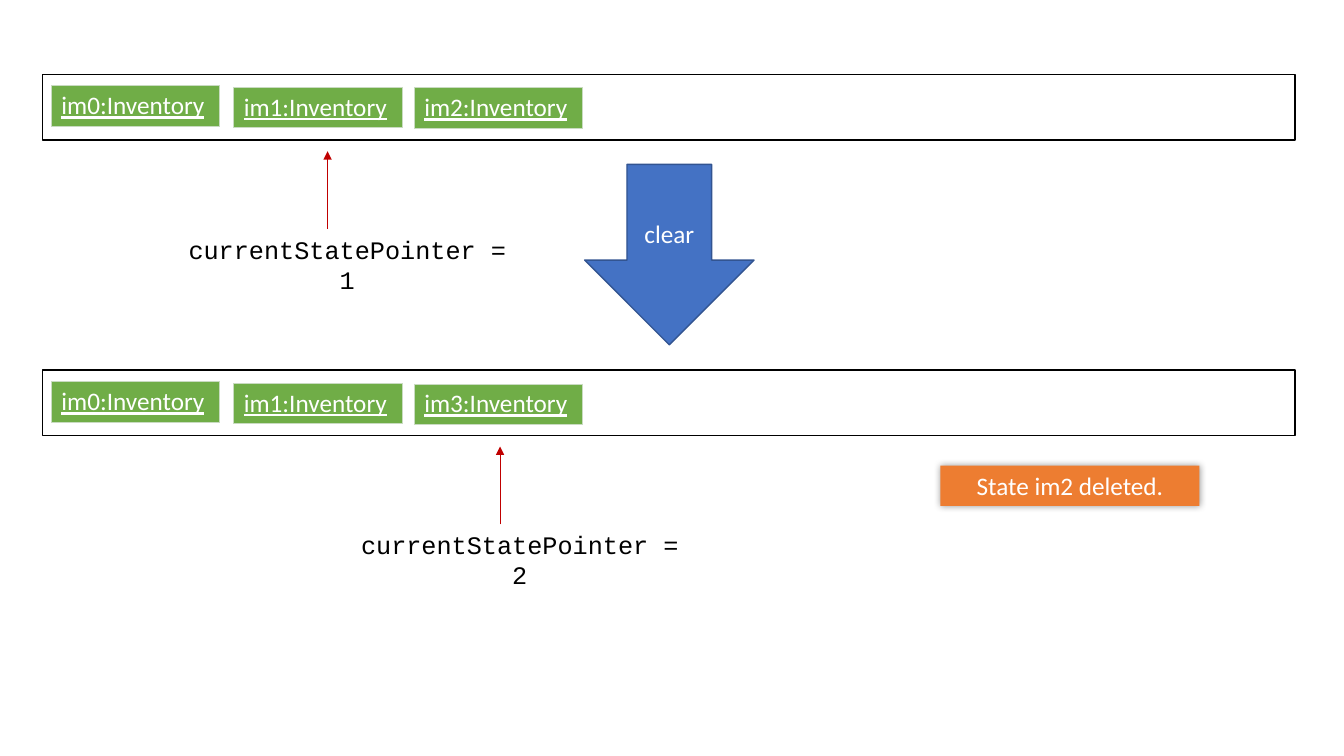
from lxml import etree
from pptx import Presentation
from pptx.dml.color import RGBColor
from pptx.enum.shapes import MSO_CONNECTOR, MSO_SHAPE
from pptx.enum.text import MSO_ANCHOR, MSO_AUTO_SIZE, PP_ALIGN
from pptx.oxml import parse_xml
from pptx.oxml.ns import nsdecls, qn
from pptx.util import Pt

RECT, DOWN_ARROW = MSO_SHAPE.RECTANGLE, MSO_SHAPE.DOWN_ARROW
STRAIGHT = MSO_CONNECTOR.STRAIGHT
TOP, MIDDLE = MSO_ANCHOR.TOP, MSO_ANCHOR.MIDDLE
GROW, CENTER = MSO_AUTO_SIZE.SHAPE_TO_FIT_TEXT, PP_ALIGN.CENTER

BLACK = RGBColor(0x00, 0x00, 0x00)
WHITE = RGBColor(0xFF, 0xFF, 0xFF)
BLUE = RGBColor(0x44, 0x72, 0xC4)
DARK_BLUE = RGBColor(0x32, 0x54, 0x91)
GREEN = RGBColor(0x70, 0xAD, 0x47)
PALE_GREEN = RGBColor(0xC9, 0xDB, 0xC1)
ORANGE = RGBColor(0xED, 0x7D, 0x31)
RED = RGBColor(0xC0, 0x00, 0x00)


def write(tf, text, color, font="Calibri", align=None):
    """Fill a text frame with one 18 pt paragraph."""
    p = tf.paragraphs[0]
    p.text = text
    p.alignment = align
    p.font.size = Pt(18)
    p.font.name = font
    p.font.color.rgb = color
    return p


def add_box(s, kind, box, fill=None, line=None):
    """Add a flat preset shape."""
    sp = s.shapes.add_shape(kind, *map(Pt, box))
    sp.shadow.inherit = False
    if fill is None:
        sp.fill.background()
    else:
        sp.fill.solid()
        sp.fill.fore_color.rgb = fill
    if line is None:
        sp.line.fill.background()
    else:
        sp.line.color.rgb = line
        sp.line.width = Pt(1)
    return sp


def add_state(s, box, text):
    """Add one saved state as a single-cell table."""
    table = s.shapes.add_table(1, 1, *map(Pt, box)).table
    table.first_row = table.horz_banding = False
    cell = table.cell(0, 0)
    tcPr = cell._tc.get_or_add_tcPr()
    for side in ("lnL", "lnR", "lnT", "lnB"):
        tcPr.append(parse_xml(
            f'<a:{side} {nsdecls("a")} w="{Pt(0.5)}"><a:solidFill>'
            f'<a:srgbClr val="{PALE_GREEN}"/></a:solidFill></a:{side}>'))
    cell.fill.solid()
    cell.fill.fore_color.rgb = GREEN
    write(cell.text_frame, text, WHITE).font.underline = True


def add_pointer(s, x, y, text):
    """Add an upward arrow with its tip at x, y and a label below."""
    base = y + 55.5
    line = s.shapes.add_connector(STRAIGHT, Pt(x), Pt(base), Pt(x), Pt(y))
    line.line.color.rgb = RED
    line.line.width = Pt(0.5)
    ln = line.line._get_or_add_ln()
    etree.SubElement(ln, qn("a:tailEnd"), type="triangle")
    etree.SubElement(line._element.spPr, qn("a:effectLst"))
    label = s.shapes.add_textbox(Pt(x - 112.3), Pt(base), Pt(252.7), Pt(28.8))
    tf = label.text_frame
    tf.word_wrap = True
    tf.auto_size = GROW
    write(tf, text, BLACK, "Courier New", CENTER)


def add_history(s, box, states, drops, pointer_x, pointer):
    """Add a history list with its states and current pointer."""
    left, top, _, height = box
    add_box(s, RECT, box, line=BLACK)
    for offset, drop, state in zip((6.5, 136.8, 265.7), drops, states):
        add_state(s, (left + offset, top + drop, 120.2, 28.8),
                  f"{state}:Inventory")
    add_pointer(s, left + pointer_x, top + height + 8,
                f"currentStatePointer = {pointer}")


def add_action(s, box, text):
    """Add the block arrow naming the action."""
    sp = add_box(s, DOWN_ARROW, box, BLUE, DARK_BLUE)
    sp.text_frame.vertical_anchor = MIDDLE
    write(sp.text_frame, text, WHITE, align=CENTER)


def add_notice(s, box, text):
    """Add the orange notice with a soft shadow."""
    sp = add_box(s, RECT, box, ORANGE)
    effects = sp._element.spPr.find(qn("a:effectLst"))
    effects.append(parse_xml(
        f'<a:outerShdw {nsdecls("a")} blurRad="{Pt(5)}" dist="0" dir="0">'
        f'<a:srgbClr val="{BLACK}"><a:alpha val="40000"/></a:srgbClr>'
        '</a:outerShdw>'))
    tf = sp.text_frame
    tf.vertical_anchor = TOP
    tf.auto_size = GROW
    tf.word_wrap = True
    write(tf, text, WHITE, align=CENTER)


def main():
    """Build and save the slide."""
    prs = Presentation()
    prs.slide_width, prs.slide_height = Pt(960), Pt(540)
    s = prs.slides.add_slide(prs.slide_layouts[6])
    add_action(s, (417.6, 117.4, 121, 128.9), "clear")
    add_notice(s, (671.8, 332.6, 185, 28.8), "State im2 deleted.")
    add_history(s, (30.2, 53.2, 895, 46.8), ("im0", "im1", "im2"),
                (8, 9, 9.5), 203.8, 1)
    add_history(s, (30.2, 264.2, 895, 46.8), ("im0", "im1", "im3"),
                (8.5, 9.5, 10), 327, 2)
    prs.save("out.pptx")


main()
